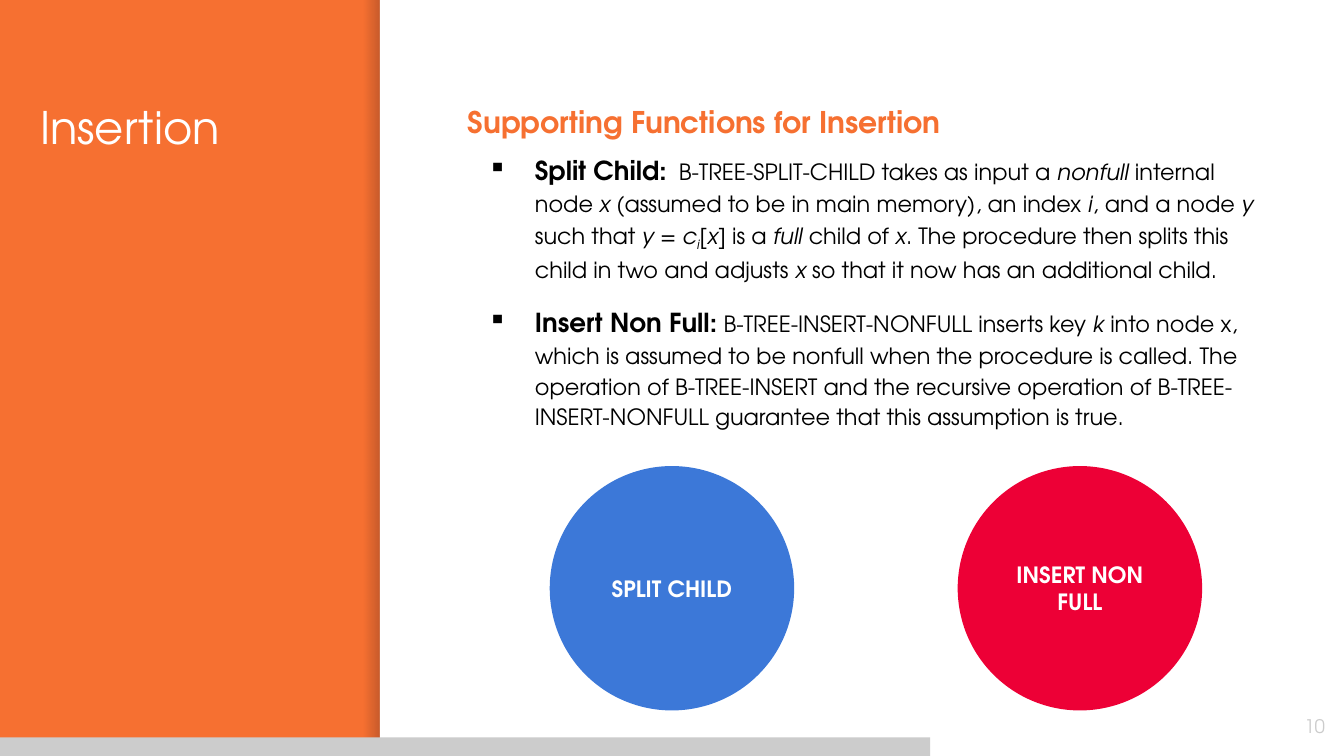
from dataclasses import dataclass

from lxml import etree
from pptx import Presentation
from pptx.dml.color import RGBColor
from pptx.enum.shapes import MSO_SHAPE
from pptx.enum.text import MSO_ANCHOR, PP_ALIGN
from pptx.oxml.ns import qn
from pptx.util import Cm, Pt

RECTANGLE, OVAL = MSO_SHAPE.RECTANGLE, MSO_SHAPE.OVAL
TOP, MIDDLE = MSO_ANCHOR.TOP, MSO_ANCHOR.MIDDLE
LEFT, CENTER, RIGHT = PP_ALIGN.LEFT, PP_ALIGN.CENTER, PP_ALIGN.RIGHT


@dataclass(frozen=True)
class Theme:
    font: str = "TeX Gyre Adventor"
    gap_font: str = "Arial"
    orange: str = "F67031"
    white: str = "FFFFFF"
    black: str = "000000"
    gray: str = "CCCCCC"
    blue: str = "3C78D8"
    red: str = "ED0036"
    shade: str = "000014"
    title: int = 24
    heading: int = 16
    lead: int = 14
    text: int = 12
    gap: int = 11
    number: int = 10


THEME = Theme()

# Within the text, *...* is italic and *_...* is an italic subscript
SPLIT_CHILD = (
    " B-TREE-SPLIT-CHILD takes as input a *nonfull* internal node *x* (assumed to be "
    "in main memory), an index* i*, and a node *y* such that *y* = *c**_i*[*x*] is a "
    "*full* child of *x*. The procedure then splits this child in two and adjusts *x* "
    "so that it now has an additional child."
)
INSERT_NON_FULL = (
    " B-TREE-INSERT-NONFULL inserts key *k* into node x, which is assumed to be nonfull "
    "when the procedure is called. The operation of B-TREE-INSERT and the recursive "
    "operation of B-TREE-INSERT-NONFULL guarantee that this assumption is true."
)


def apply_format(target, values):
    for name, value in values.items():
        setattr(target, name, value)


def add_run(paragraph, text, size, color, font=THEME.font, **values):
    run = paragraph.add_run()
    run.text = text
    apply_format(run.font, {"name": font, "size": Pt(size), **values})
    run.font.color.rgb = RGBColor.from_string(color)
    return run


def add_marked_text(paragraph, text):
    for index, part in enumerate(text.split("*")):
        if not part:
            continue
        run = add_run(paragraph, part.lstrip("_"), THEME.text, THEME.black,
                      italic=index % 2 == 1)
        if part.startswith("_"):
            run._r.get_or_add_rPr().set("baseline", "-25000")


def set_frame(shape, anchor):
    inset = Cm(0.25)
    apply_format(shape.text_frame, {
        "word_wrap": True, "vertical_anchor": anchor,
        "margin_left": inset, "margin_right": inset,
        "margin_top": inset, "margin_bottom": inset,
    })
    return shape.text_frame


def add_text_box(slide, box, anchor=TOP):
    return set_frame(slide.shapes.add_textbox(*map(Cm, box)), anchor)


def add_label(frame, text, size, color, alignment=LEFT, **values):
    paragraph = frame.paragraphs[0]
    paragraph.alignment = alignment
    add_run(paragraph, text, size, color, **values)


def add_block(slide, kind, box, color):
    shape = slide.shapes.add_shape(kind, *map(Cm, box))
    shape.shadow.inherit = False
    shape.line.fill.background()
    shape.fill.solid()
    shape.fill.fore_color.rgb = RGBColor.from_string(color)
    return shape


def add_edge_shade(slide, box):
    shape = add_block(slide, RECTANGLE, box, THEME.shade)
    shape.fill.gradient()
    shape.fill.gradient_angle = 0
    for stop, opacity in zip(shape.fill.gradient_stops, (0, 20)):
        stop.color.rgb = RGBColor.from_string(THEME.shade)
    for color, opacity in zip(shape._element.spPr.iter(qn("a:srgbClr")), (0, 20)):
        etree.SubElement(color, qn("a:alpha")).set("val", str(opacity * 1000))


def add_bullet(frame, lead, text, before, after, gap=""):
    paragraph = frame.add_paragraph()
    apply_format(paragraph, {"line_spacing": 1.15, "space_before": Pt(before),
                             "space_after": Pt(after)})
    properties = paragraph._p.get_or_add_pPr()
    properties.set("marL", str(Cm(1.27)))
    properties.set("indent", str(Cm(-0.89)))
    bullet_color = etree.SubElement(properties, qn("a:buClr"))
    etree.SubElement(bullet_color, qn("a:srgbClr")).set("val", THEME.black)
    etree.SubElement(properties, qn("a:buChar")).set("char", "▪")
    add_run(paragraph, lead, THEME.lead, THEME.black, bold=True)
    if gap:
        add_run(paragraph, gap, THEME.gap, THEME.black, THEME.gap_font)
    add_marked_text(paragraph, text)


def add_explanation(slide):
    frame = add_text_box(slide, (8.59, 1.6, 15.54, 7.67))
    apply_format(frame.paragraphs[0], {"line_spacing": 1.15, "space_before": Pt(6)})
    add_label(frame, "Supporting Functions for Insertion", THEME.heading,
              THEME.orange, bold=True)
    add_bullet(frame, "Split Child:", SPLIT_CHILD, 6, 0, gap=" ")
    add_bullet(frame, "Insert Non Full:", INSERT_NON_FULL, 10, 10)


def add_circle(slide, left, text, color):
    circle = add_block(slide, OVAL, (left, 8.81, 4.62, 4.62), color)
    add_label(set_frame(circle, MIDDLE), text, THEME.text, THEME.white, CENTER, bold=True)


def main():
    presentation = Presentation()
    apply_format(presentation, {"slide_width": Cm(25.4), "slide_height": Cm(14.29)})
    slide = presentation.slides.add_slide(presentation.slide_layouts[6])

    # Orange side with a shaded edge, white content side
    slide.background.fill.solid()
    slide.background.fill.fore_color.rgb = RGBColor.from_string(THEME.orange)
    add_edge_shade(slide, (6.87, 0, 0.31, 14.29))
    add_block(slide, RECTANGLE, (7.18, 0, 18.22, 14.29), THEME.white)

    # Title, explanation and page number
    title = add_text_box(slide, (0.51, 1.63, 5.69, 11.05))
    add_label(title, "Insertion", THEME.title, THEME.white)
    add_explanation(slide)
    number = add_text_box(slide, (23.77, 13.18, 1.52, 1.09), MIDDLE)
    add_label(number, "10", THEME.number, THEME.gray, RIGHT)

    # The two functions
    add_circle(slide, 10.39, "SPLIT CHILD", THEME.blue)
    add_circle(slide, 18.1, "INSERT NON FULL", THEME.red)

    # Progress bar
    add_block(slide, RECTANGLE, (0, 13.94, 17.58, 0.35), THEME.gray)

    presentation.save("out.pptx")


if __name__ == "__main__":
    main()
